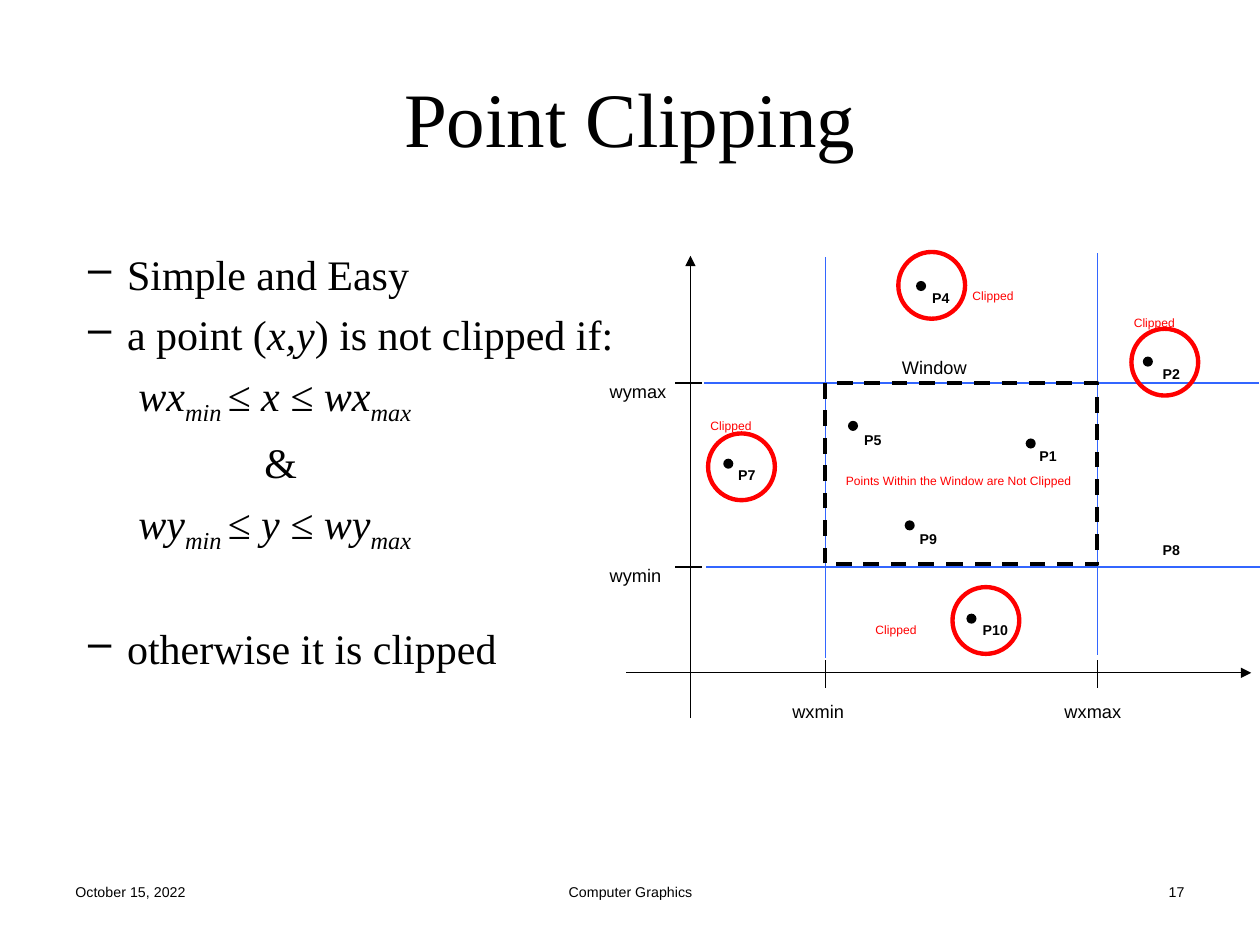
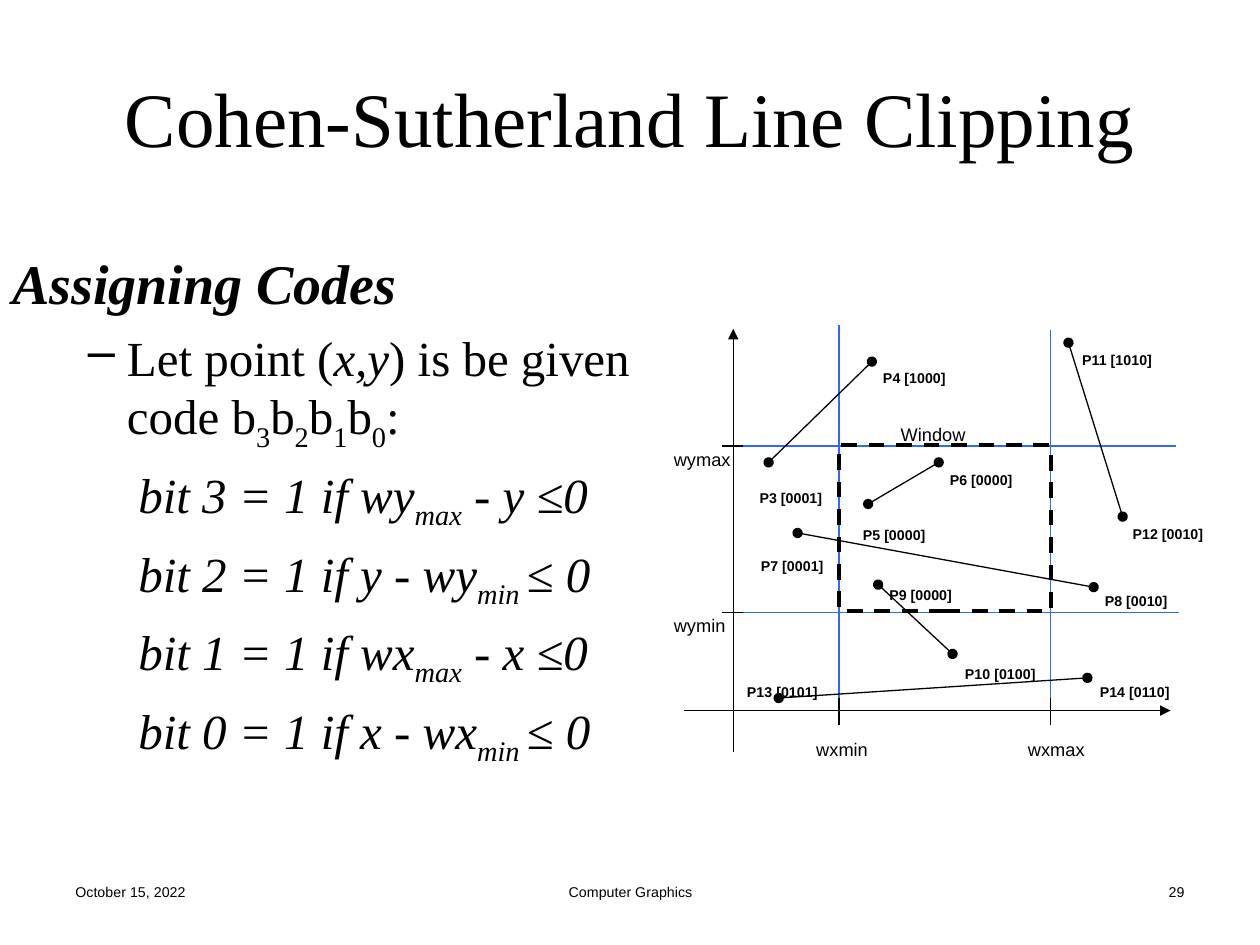
from dataclasses import dataclass
from typing import NamedTuple

from lxml.etree import SubElement
from pptx import Presentation
from pptx.dml.color import RGBColor as Rgb
from pptx.enum.dml import MSO_LINE
from pptx.enum.shapes import MSO_CONNECTOR, MSO_SHAPE as Kind
from pptx.enum.text import MSO_ANCHOR, MSO_AUTO_SIZE, PP_ALIGN as Align
from pptx.oxml.ns import qn
from pptx.slide import Slide
from pptx.util import Inches, Pt

# Grid: 100 columns by 75 rows of square cells
COLS, ROWS = 100, 75
WIDE, HIGH = Inches(10), Inches(7.5)
CELL = WIDE / COLS


@dataclass(frozen=True)
class Theme:
    ink: Rgb = Rgb(0, 0, 0)
    red: Rgb = Rgb(255, 0, 0)
    blue: Rgb = Rgb(0x33, 0x66, 0xFF)
    serif: str = "Times New Roman"
    sans: str = "Arial"
    title: int = 44
    axis: int = 18
    point: int = 14
    note: int = 12
    thin: float = 0.75
    ring: float = 2.5
    frame: float = 2.25
    sub: str = "-25000"


THEME = Theme()


class Guide(NamedTuple):
    at: float
    start: float
    end: float


class Point(NamedTuple):
    name: str
    x: float
    y: float
    left: float
    top: float


class Ring(NamedTuple):
    x: float
    y: float
    left: float
    top: float


class Para(NamedTuple):
    """Text parts are split by |; a part after _ is a subscript, after / is italic."""
    text: str
    size: int
    bullet: bool = False
    italic: bool = False
    bold: bool = False
    inset: int = 0
    gap: int = 0


@dataclass(frozen=True)
class Plot:
    rise: Guide                 # vertical axis
    run: Guide                  # horizontal axis
    xs: tuple[Guide, Guide]     # wxmin, wxmax
    ys: tuple[Guide, Guide]     # wymax, wymin
    ticks: tuple[float, float]  # span of the ticks on the vertical axis
    marks: tuple[float, float]  # span of the ticks on the horizontal axis
    top: float
    tall: float
    left: float                 # column of the wy labels
    shift: float                # wx labels start this far left of their guide
    lift: float                 # wy labels start this far above their guide
    name: tuple[float, float]


# Drawing tools
def cell(count: float) -> int:
    return round(count * CELL)


def box(slide: Slide, x: float, y: float, w: float, h: float):
    frame = slide.shapes.add_textbox(cell(x), cell(y), cell(w), cell(h)).text_frame
    frame.word_wrap = True
    return frame


def label(slide: Slide, text: str, x: float, y: float, size: int,
          color: Rgb = THEME.ink, bold: bool = False, align: Align = Align.LEFT,
          wide: float = 0, high: float = 0) -> None:
    """Small sans text, set in the subscript position throughout."""
    wide = wide or 2 + 0.07 * size * len(text)
    high = high or 1 + size / 6
    para = box(slide, x, y, wide, high).paragraphs[0]
    para.text = text
    para.alignment = align
    run = para.runs[0]
    run.font.name, run.font.size, run.font.bold = THEME.sans, Pt(size), bold
    run.font.color.rgb = color
    run._r.get_or_add_rPr().set("baseline", THEME.sub)


def line(slide: Slide, x1: float, y1: float, x2: float, y2: float,
         color: Rgb = THEME.ink, head: str = "", tail: str = "") -> None:
    link = slide.shapes.add_connector(
        MSO_CONNECTOR.STRAIGHT, cell(x1), cell(y1), cell(x2), cell(y2))
    link.line.color.rgb, link.line.width = color, Pt(THEME.thin)
    for tag, tip in (("a:headEnd", head), ("a:tailEnd", tail)):
        if tip:
            SubElement(link.get_or_add_ln(), qn(tag), type=tip)
    SubElement(link._element.spPr, qn("a:effectLst"))


def outline(slide: Slide, kind: Kind, x: float, y: float, w: float, h: float,
            color: Rgb, width: float):
    shape = slide.shapes.add_shape(kind, cell(x), cell(y), cell(w), cell(h))
    shape.shadow.inherit = False
    shape.fill.background()
    shape.line.color.rgb, shape.line.width = color, Pt(width)
    return shape


def dot(slide: Slide, point: Point) -> None:
    shape = slide.shapes.add_shape(
        Kind.OVAL, cell(point.x), cell(point.y), cell(0.8), cell(0.8))
    shape.shadow.inherit = False
    shape.fill.solid()
    shape.fill.fore_color.rgb = THEME.ink
    shape.line.fill.background()


def tag(slide: Slide, point: Point) -> None:
    label(slide, point.name, point.left, point.top, THEME.point, bold=True)


# Title, footer and body text
def start(deck, title: str, page: int) -> Slide:
    slide = deck.slides.add_slide(deck.slide_layouts[5])
    head = slide.shapes.title
    head.left, head.top, head.width, head.height = map(cell, (5, 3, 90, 12.5))
    frame = head.text_frame
    frame.text = title
    frame.auto_size = MSO_AUTO_SIZE.NONE
    frame.vertical_anchor = MSO_ANCHOR.MIDDLE
    para = frame.paragraphs[0]
    para.alignment = Align.CENTER
    font = para.runs[0].font
    font.name, font.size, font.color.rgb = THEME.serif, Pt(THEME.title), THEME.ink
    for text, x, wide, align in (("October 15, 2022", 5, 23.3, Align.LEFT),
                                 ("Computer Graphics", 34.2, 31.7, Align.CENTER),
                                 (str(page), 71.7, 23.3, Align.RIGHT)):
        label(slide, text, x, 68.3, THEME.point, align=align, wide=wide, high=5.2)
    return slide


def body(slide: Slide, wide: float, high: float, paras: list[Para]) -> None:
    frame = box(slide, 0, 19.2, wide, high)
    for i, item in enumerate(paras):
        para = frame.add_paragraph() if i else frame.paragraphs[0]
        para.space_before = Pt(round(0.24 * item.size, 1) + item.gap)
        props = para._p.get_or_add_pPr()
        props.set("marL", str(cell(9.1 if item.bullet else item.inset)))
        props.set("indent", str(cell(-3.1) if item.bullet else 0))
        if item.bullet:
            SubElement(props, qn("a:buChar"), char="–")
        else:
            SubElement(props, qn("a:buNone"))
        for part in item.text.split("|"):
            run = para.add_run()
            run.text = part.lstrip("_/")
            font = run.font
            font.name, font.size, font.color.rgb = THEME.serif, Pt(item.size), THEME.ink
            font.bold, font.italic = item.bold, item.italic or part.startswith("/")
            if part.startswith("_"):
                run._r.get_or_add_rPr().set("baseline", THEME.sub)


# Axes, guides, ticks and clipping window
def draw(slide: Slide, plot: Plot) -> None:
    rise, run = plot.rise, plot.run
    for guide, text in zip(plot.xs, ("wxmin", "wxmax")):
        line(slide, guide.at, guide.start, guide.at, guide.end, THEME.blue)
        line(slide, guide.at, plot.marks[0], guide.at, plot.marks[1])
        label(slide, text, guide.at - plot.shift, run.at, THEME.axis)
    for guide, text in zip(plot.ys, ("wymax", "wymin")):
        line(slide, guide.start, guide.at, guide.end, guide.at, THEME.blue)
        line(slide, plot.ticks[0], guide.at, plot.ticks[1], guide.at)
        label(slide, text, plot.left, guide.at - plot.lift, THEME.axis)
    line(slide, run.start, run.at, run.end, run.at, tail="triangle")
    line(slide, rise.at, rise.start, rise.at, rise.end, tail="triangle")
    low, far = (guide.at for guide in plot.xs)
    frame = outline(slide, Kind.RECTANGLE, low, plot.top, far - low, plot.tall,
                    THEME.ink, THEME.frame)
    frame.line.dash_style = MSO_LINE.DASH
    label(slide, "Window", *plot.name, THEME.axis)


# Slide: point clipping
def points(deck) -> None:
    slide = start(deck, "Point Clipping", 17)
    body(slide, 50.8, 40.8, [
        Para("Simple and Easy", 24, bullet=True),
        Para("a point (|/x,y|) is not clipped if:", 24, bullet=True),
        Para("wx|_min |≤ x ≤ wx|_max", 24, italic=True, inset=10),
        Para("&", 24, inset=20),
        Para("wy|_min |≤ y ≤ wy|_max", 24, italic=True, inset=10),
        Para("otherwise it is clipped", 24, bullet=True, gap=33),
    ])
    draw(slide, Plot(
        rise=Guide(54.8, 57, 20.3), run=Guide(53.4, 49.7, 99.3),
        xs=(Guide(65.5, 20.4, 52.2), Guide(87.1, 20.1, 52)),
        ys=(Guide(30.4, 99.9, 55.9), Guide(45, 100, 56)),
        ticks=(53.6, 55.7), marks=(52.4, 54.6), top=30.4, tall=14.4,
        left=47.4, shift=3.6, lift=2.4, name=(70.6, 26.1)))
    for point in (Point("P1", 81.4, 34.8, 81.5, 33.7),
                  Point("P2", 90.7, 28.3, 91.3, 27.2),
                  Point("P4", 72.7, 22.3, 73, 21.2),
                  Point("P5", 67.3, 33.4, 67.6, 32.4),
                  Point("P7", 57.4, 36.4, 57.6, 35.2),
                  Point("P9", 71.8, 41.3, 72, 40.3),
                  Point("P10", 76.7, 48.7, 77, 47.5)):
        dot(slide, point)
        tag(slide, point)
    label(slide, "P8", 91.3, 41.2, THEME.point, bold=True)
    for ring in (Ring(89.8, 26.1, 89, 23.4), Ring(71.3, 20, 76.2, 21.3),
                 Ring(75.6, 46.6, 68.5, 47.8), Ring(56.2, 34.4, 55.4, 31.6)):
        outline(slide, Kind.OVAL, ring.x, ring.y, 5.3, 5.3, THEME.red, THEME.ring)
        label(slide, "Clipped", ring.left, ring.top, THEME.note, THEME.red)
    label(slide, "Points Within the Window are Not Clipped", 65.5, 36, THEME.note,
          THEME.red, align=Align.CENTER, wide=21.2, high=5)


# Slide: region codes for line clipping
def codes(deck) -> None:
    slide = start(deck, "Cohen-Sutherland Line Clipping", 29)
    bits = ("bit 3 = 1 if wy|_max| - y ≤0", "bit 2 = 1 if y - wy|_min |≤ 0",
            "bit 1 = 1 if wx|_max| - x ≤0", "bit 0 = 1 if x - wx|_min |≤ 0")
    body(slide, 51.7, 43.3, [
        Para("Assigning Codes", 32, italic=True, bold=True),
        Para("Let point (|/x,y|) is be given code b|_3|b|_2|b|_1|b|_0|:", 28,
             bullet=True),
        *(Para(bit, 28, italic=True, inset=10) for bit in bits),
    ])
    draw(slide, Plot(
        rise=Guide(58.2, 59.7, 26.1), run=Guide(56.4, 54.3, 92.9),
        xs=(Guide(66.6, 25.8, 55.7), Guide(83.4, 26.2, 56)),
        ys=(Guide(35.4, 93.3, 58.6), Guide(48.6, 93.6, 59)),
        ticks=(57.3, 59), marks=(55.4, 57.5), top=35.3, tall=13.2,
        left=52.5, shift=2.8, lift=2, name=(70.5, 31.4)))
    for one, two in (
            (Point("P3 [0001]", 61, 36.7, 59.3, 37),
             Point("P4 [1000]", 69.2, 28.7, 69.1, 27.5)),
            (Point("P5 [0000]", 68.9, 40, 67.5, 40),
             Point("P6 [0000]", 74.5, 36.7, 74.4, 35.6)),
            (Point("P7 [0001]", 63.3, 42.3, 59.4, 42.4),
             Point("P8 [0010]", 86.8, 46.6, 86.7, 45.2)),
            (Point("P9 [0000]", 69.7, 46.4, 69.6, 44.7),
             Point("P10 [0100]", 75.6, 51.9, 75.6, 51)),
            (Point("P12 [0010]", 89.1, 41, 88.9, 39.9),
             Point("P11 [1010]", 84.8, 27.2, 84.9, 26.1)),
            (Point("P13 [0101]", 61.8, 55.4, 58.3, 52.4),
             Point("P14 [0110]", 86.3, 53.8, 86.3, 52.4))):
        line(slide, one.x, one.y, two.x, two.y, head="oval", tail="oval")
        tag(slide, one)
        tag(slide, two)


def main() -> None:
    deck = Presentation()
    deck.slide_width, deck.slide_height = WIDE, HIGH
    points(deck)
    codes(deck)
    deck.save("out.pptx")


if __name__ == "__main__":
    main()
